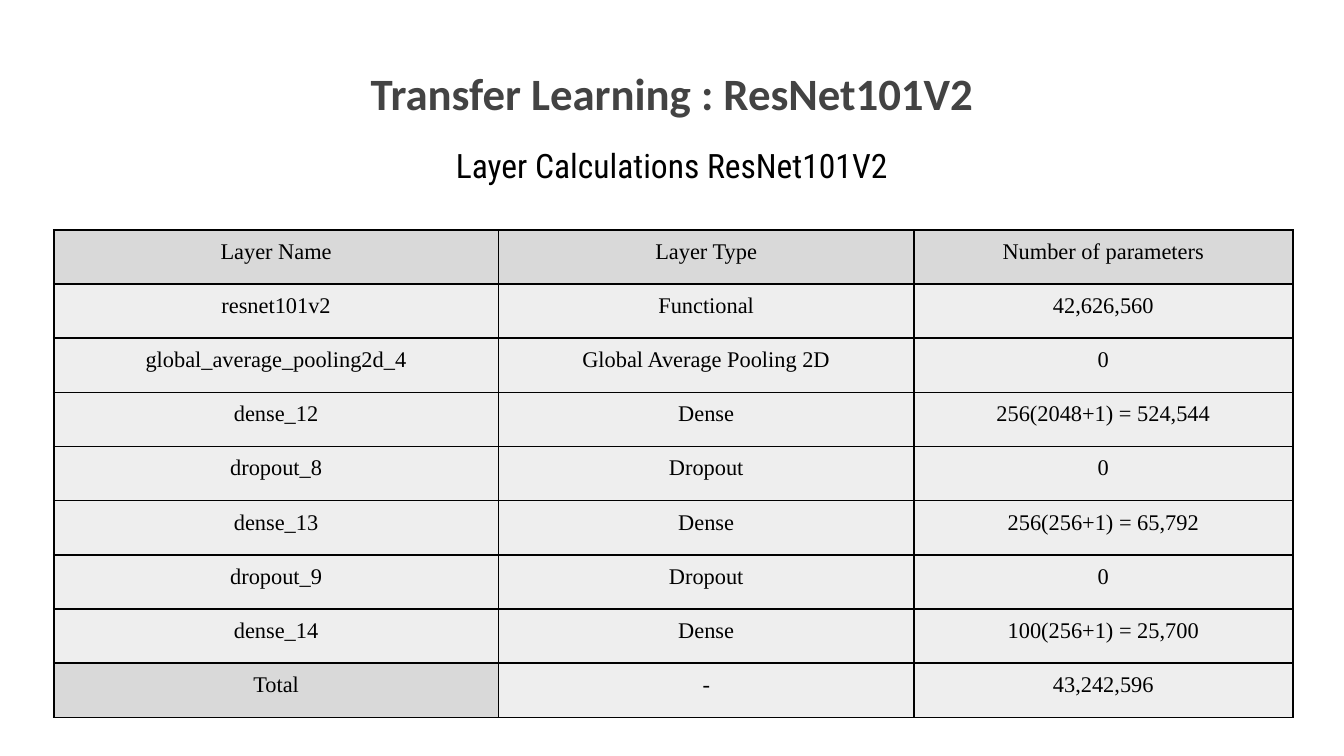
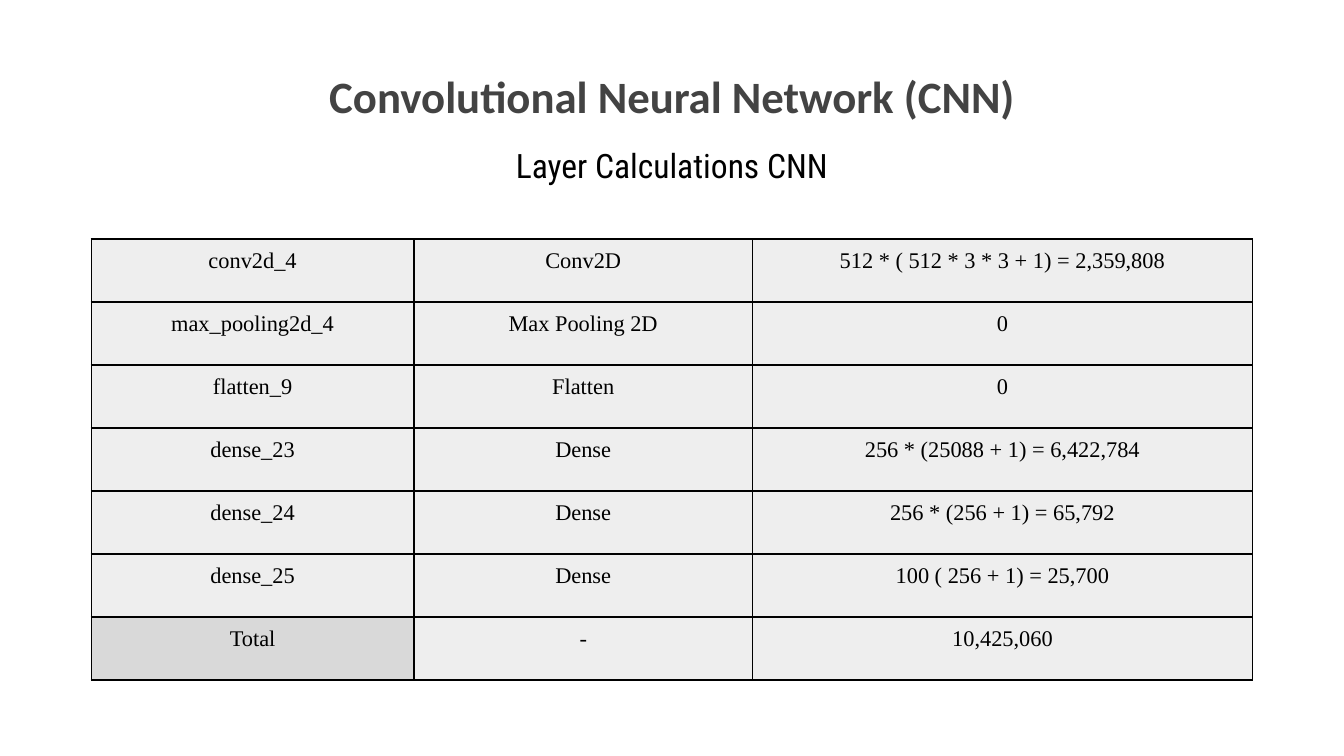
"""Build two slides that list the layers and parameter counts of neural networks."""
import lxml.etree
import pptx
import pptx.dml.color
import pptx.enum.text
import pptx.oxml.ns
import pptx.util

PX = 4572
BLACK = "000000"
TITLE_GREY = "434343"
LABEL_GREY = "D9D9D9"
CELL_GREY = "EEEEEE"

RESNET_LAYERS = [
    ("Layer Name", "Layer Type", "Number of parameters"),
    ("resnet101v2", "Functional", "42,626,560"),
    ("global_average_pooling2d_4", "Global Average Pooling 2D", "0"),
    ("dense_12", "Dense", "256(2048+1) = 524,544"),
    ("dropout_8", "Dropout", "0"),
    ("dense_13", "Dense", "256(256+1) = 65,792"),
    ("dropout_9", "Dropout", "0"),
    ("dense_14", "Dense", "100(256+1) = 25,700"),
    ("Total", "-", "43,242,596"),
]
CNN_LAYERS = [
    ("conv2d_4", "Conv2D", "512 * ( 512 * 3 * 3 + 1) = 2,359,808"),
    ("max_pooling2d_4", "Max Pooling 2D", "0"),
    ("flatten_9", "Flatten", "0"),
    ("dense_23", "Dense", "256 * (25088 + 1) = 6,422,784"),
    ("dense_24", "Dense", "256 * (256 + 1) = 65,792"),
    ("dense_25", "Dense", "100 ( 256 + 1) = 25,700"),
    ("Total", "-", "10,425,060"),
]


def color(value):
    """Return the colour for a hex string."""
    return pptx.dml.color.RGBColor.from_string(value)


def set_margins(target, margin):
    """Give a text frame or cell the same margin on all sides."""
    for side in ("left", "right", "top", "bottom"):
        setattr(target, f"margin_{side}", margin * PX)


def write_text(text_frame, text, font_name, size, font_color, bold=False):
    """Write one centred paragraph in the given font."""
    text_frame.text = text
    paragraph = text_frame.paragraphs[0]
    paragraph.alignment = pptx.enum.text.PP_ALIGN.CENTER
    paragraph.font.name = font_name
    paragraph.font.size = pptx.util.Pt(size)
    paragraph.font.bold = bold
    paragraph.font.color.rgb = color(font_color)


def prepare_frame(text_frame, auto_size):
    """Set wrapping, margins and top anchoring of a text frame."""
    text_frame.word_wrap = True
    text_frame.auto_size = auto_size
    text_frame.vertical_anchor = pptx.enum.text.MSO_ANCHOR.TOP
    set_margins(text_frame, 20)


def set_title(slide, text, left, top, width):
    """Place and format the slide title."""
    title = slide.shapes.title
    title.left, title.top = left * PX, top * PX
    title.width, title.height = width * PX, 152 * PX
    prepare_frame(title.text_frame, pptx.enum.text.MSO_AUTO_SIZE.NONE)
    write_text(title.text_frame, text, "Calibri", 24, TITLE_GREY, bold=True)


def add_subtitle(slide, text):
    """Add the line of text under the title."""
    subtitle = slide.shapes.add_textbox(452 * PX, 196 * PX, 1096 * PX, 100 * PX)
    prepare_frame(subtitle.text_frame, pptx.enum.text.MSO_AUTO_SIZE.SHAPE_TO_FIT_TEXT)
    write_text(subtitle.text_frame, text, "Roboto Condensed", 18, BLACK)


def add_borders(cell):
    """Draw a thin black line on every side of a cell."""
    properties = cell._tc.get_or_add_tcPr()
    qn = pptx.oxml.ns.qn
    for side in "LRTB":
        line = lxml.etree.SubElement(properties, qn(f"a:ln{side}"), w=str(pptx.util.Pt(1)))
        fill = lxml.etree.SubElement(line, qn("a:solidFill"))
        lxml.etree.SubElement(fill, qn("a:srgbClr"), val=BLACK)


def add_layer_table(slide, layers, left, top, column_widths, height):
    """Add a table of layers with grey header and total labels."""
    frame = slide.shapes.add_table(
        len(layers), len(column_widths),
        left * PX, top * PX, sum(column_widths) * PX, height * PX)
    table = frame.table
    table.first_row = table.horz_banding = False
    for column, width in zip(table.columns, column_widths):
        column.width = width * PX
    for row, layer in zip(table.rows, layers):
        row.height = height * PX // len(layers)
        for index, (cell, text) in enumerate(zip(row.cells, layer)):
            is_label = layer[0] == "Layer Name" or (layer[0] == "Total" and index == 0)
            set_margins(cell, 14)
            add_borders(cell)
            cell.fill.solid()
            cell.fill.fore_color.rgb = color(LABEL_GREY if is_label else CELL_GREY)
            write_text(cell.text_frame, text, "Times New Roman", 12, BLACK)


def add_title_slide(presentation):
    """Add a slide that has only a title placeholder."""
    return presentation.slides.add_slide(presentation.slide_layouts[5])


def main():
    """Build both slides and save them."""
    presentation = pptx.Presentation()
    presentation.slide_width = 2000 * PX
    presentation.slide_height = 1125 * PX

    slide = add_title_slide(presentation)
    set_title(slide, "Transfer Learning : ResNet101V2", 430, 78, 1140)
    add_subtitle(slide, "Layer Calculations ResNet101V2")
    add_layer_table(slide, RESNET_LAYERS, 80, 342, (662, 618, 564), 726)

    slide = add_title_slide(presentation)
    set_title(slide, "Convolutional Neural Network (CNN)", 391, 82, 1218)
    add_subtitle(slide, "Layer Calculations CNN")
    add_layer_table(slide, CNN_LAYERS, 136, 356, (480, 504, 744), 656)

    presentation.save("out.pptx")


if __name__ == "__main__":
    main()
